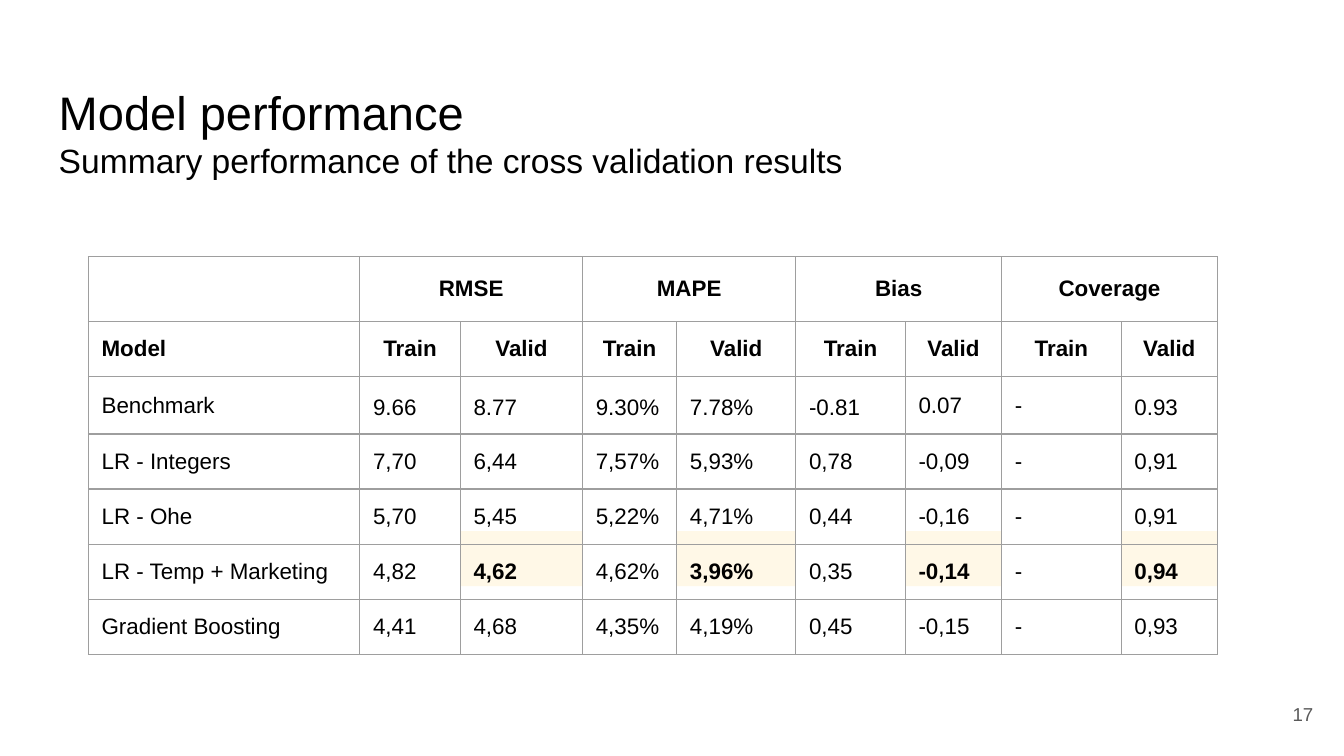
from itertools import accumulate

from lxml.etree import SubElement
from pptx import Presentation
from pptx.dml.color import RGBColor
from pptx.enum.shapes import MSO_SHAPE as Shape
from pptx.enum.text import MSO_ANCHOR as Anchor, MSO_AUTO_SIZE as AutoSize, PP_ALIGN as Align
from pptx.oxml import parse_xml
from pptx.oxml.ns import nsdecls, qn
from pptx.util import Cm, Pt

# Content
HEADINGS = [("Model performance", 25.2),
            ("Summary performance of the cross validation results", 18)]
METRICS = ["RMSE", "MAPE", "Bias", "Coverage"]
RESULTS = [
    ["Benchmark", "9.66", "8.77", "9.30%", "7.78%", "-0.81", "0.07", "-", "0.93"],
    ["LR - Integers", "7,70", "6,44", "7,57%", "5,93%", "0,78", "-0,09", "-", "0,91"],
    ["LR - Ohe", "5,70", "5,45", "5,22%", "4,71%", "0,44", "-0,16", "-", "0,91"],
    ["LR - Temp + Marketing", "4,82", "4,62", "4,62%", "3,96%", "0,35", "-0,14", "-", "0,94"],
    ["Gradient Boosting", "4,41", "4,68", "4,35%", "4,19%", "0,45", "-0,15", "-", "0,93"],
]
ROWS = [[""] + [text for metric in METRICS for text in (metric, "")],
        ["Model"] + ["Train", "Valid"] * len(METRICS)] + RESULTS
HEADER_ROWS, BENCHMARK_ROW, BEST_ROW = 2, 2, 5
VALID_COLUMNS = range(2, 9, 2)
LOOSE_COLUMNS = (1, 2, 3, 4, 5, 8)

# Table grid, in centimetres
TABLE_LEFT, TABLE_TOP = 1.67, 4.85
COLUMN_WIDTHS = [5.13, 1.9, 2.31, 1.78, 2.25, 2.07, 1.82, 2.26, 1.82]
ROW_HEIGHT = 1.04
ROW_HEIGHTS = [1.23] + [ROW_HEIGHT] * (len(ROWS) - 1)
HIGHLIGHT_TOP = 10.04


def color(value):
    return RGBColor.from_string(value)


def apply(target, values):
    for name, value in values.items():
        setattr(target, name, value)


class SlideBuilder:
    font = "Arial"
    ink, muted, grid, highlight_fill = "000000", "595959", "9E9E9E", "FFF2CC"
    margins = dict.fromkeys(
        ("margin_left", "margin_right", "margin_top", "margin_bottom"), Cm(0.25))

    def __init__(self, page):
        self.page = page

    def add_span(self, para, text, size, ink=None, bold=False, **layout):
        span = para.add_run()
        span.text = text
        apply(span.font, {"name": self.font, "size": Pt(size), "bold": bold})
        span.font.color.rgb = color(ink or self.ink)
        apply(para, layout)

    def title(self, left, top, width, height, headings):
        box = self.page.shapes.title
        apply(box, {"left": Cm(left), "top": Cm(top),
                    "width": Cm(width), "height": Cm(height)})
        frame = box.text_frame
        apply(frame, {**self.margins, "margin_top": Cm(0.33), "word_wrap": True,
                      "auto_size": AutoSize.NONE, "vertical_anchor": Anchor.TOP})
        for index, (text, size) in enumerate(headings):
            para = frame.add_paragraph() if index else frame.paragraphs[0]
            self.add_span(para, text, size, alignment=Align.LEFT, space_before=Pt(0))

    def page_number(self, left, top, width, height, text):
        box = self.page.shapes.add_textbox(Cm(left), Cm(top), Cm(width), Cm(height))
        frame = box.text_frame
        apply(frame, {**self.margins, "word_wrap": True, "vertical_anchor": Anchor.MIDDLE})
        self.add_span(frame.paragraphs[0], text, 10, self.muted, alignment=Align.RIGHT)

    def highlight(self, left, top, width, height):
        box = self.page.shapes.add_shape(
            Shape.RECTANGLE, Cm(left), Cm(top), Cm(width), Cm(height))
        box.shadow.inherit = False
        box.line.fill.background()
        box.fill.solid()
        box.fill.fore_color.rgb = color(self.highlight_fill)
        tint = box.element.spPr.find(qn("a:solidFill"))[0]
        SubElement(tint, qn("a:alpha"), val="47000")

    def table(self, left, top, widths, heights):
        frame = self.page.shapes.add_table(
            len(heights), len(widths), Cm(left), Cm(top), Cm(sum(widths)), Cm(sum(heights)))
        table = frame.table
        apply(table, {"first_row": False, "horz_banding": False})
        for column, width in zip(table.columns, widths):
            column.width = Cm(width)
        for row, height in zip(table.rows, heights):
            row.height = Cm(height)
        for cell in table.iter_cells():
            cell.fill.background()
            self.borders(cell)
        return table

    def borders(self, cell):
        properties = cell._tc.get_or_add_tcPr()
        for index, side in enumerate(("lnL", "lnR", "lnT", "lnB")):
            properties.insert(index, parse_xml(
                f'<a:{side} {nsdecls("a")} w="{Pt(0.75)}"><a:solidFill>'
                f'<a:srgbClr val="{self.grid}"/></a:solidFill></a:{side}>'))

    def cell(self, cell, text, bold, **layout):
        apply(cell, {**self.margins, "vertical_anchor": Anchor.MIDDLE})
        self.add_span(cell.text_frame.paragraphs[0], text, 12, bold=bold, **layout)


def main():
    deck = Presentation()
    apply(deck, {"slide_width": Cm(25.4), "slide_height": Cm(14.29)})
    builder = SlideBuilder(deck.slides.add_slide(deck.slide_layouts[5]))

    # Tints behind the best validation scores
    column_lefts = list(accumulate(COLUMN_WIDTHS, initial=TABLE_LEFT))
    for column in VALID_COLUMNS:
        builder.highlight(column_lefts[column], HIGHLIGHT_TOP,
                          COLUMN_WIDTHS[column], ROW_HEIGHT)

    # Title and page number
    builder.title(0.86, 1.24, 23.67, 1.6, HEADINGS)
    builder.page_number(23.55, 12.95, 1.52, 1.09, "17")

    # Results table
    table = builder.table(TABLE_LEFT, TABLE_TOP, COLUMN_WIDTHS, ROW_HEIGHTS)
    for column in VALID_COLUMNS:
        table.cell(0, column - 1).merge(table.cell(0, column))
    for row, texts in enumerate(ROWS):
        for column, text in enumerate(texts):
            if not text:
                continue
            header = row < HEADER_ROWS
            best = row == BEST_ROW and column in VALID_COLUMNS
            layout = {"alignment": Align.CENTER if header and column else Align.LEFT}
            if row == BENCHMARK_ROW and column in LOOSE_COLUMNS:
                layout["line_spacing"] = 1.15
            builder.cell(table.cell(row, column), text, header or best, **layout)

    deck.save("out.pptx")


if __name__ == "__main__":
    main()
